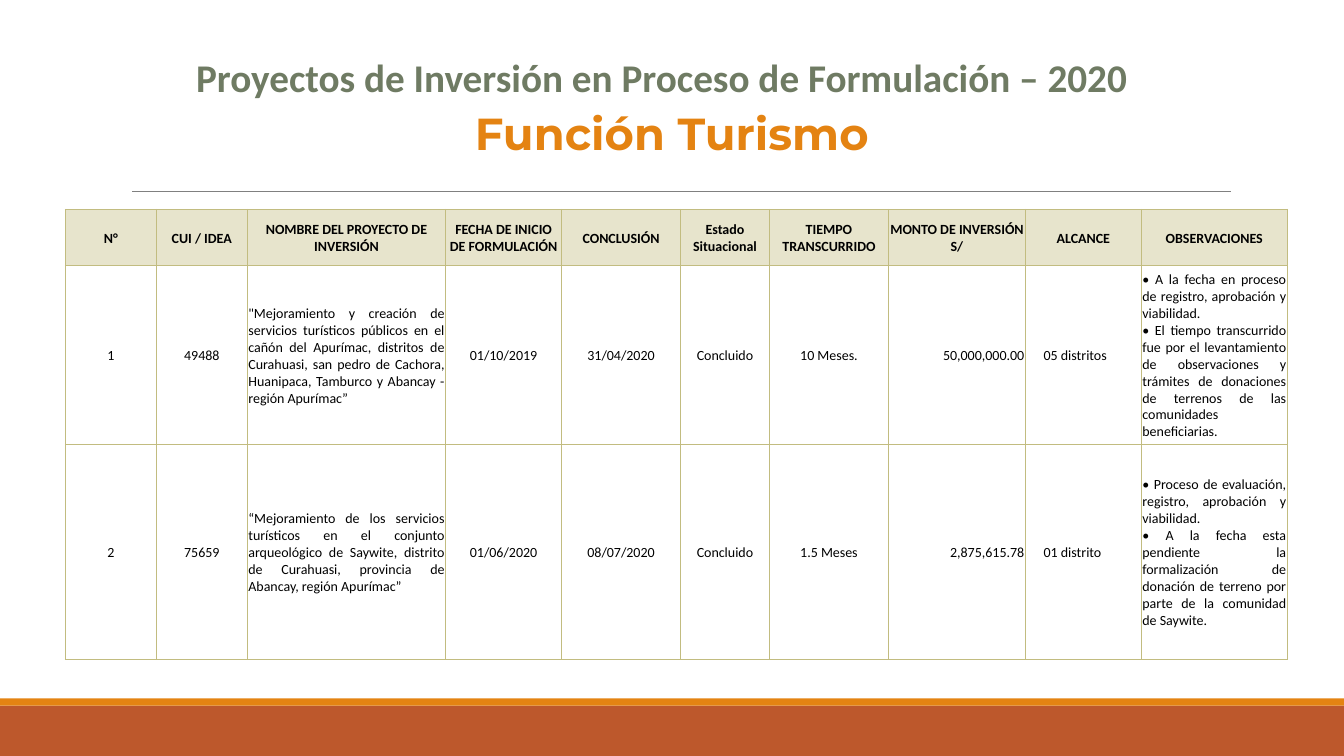
from lxml import etree
from pptx import Presentation
from pptx.dml.color import RGBColor
from pptx.enum import shapes, text
from pptx.oxml import ns
from pptx.util import Cm, Pt

RUST = RGBColor(0xBD, 0x58, 0x2C)
ORANGE = RGBColor(0xE4, 0x83, 0x12)
SAGE = RGBColor(0x6F, 0x7B, 0x63)
GRAY = RGBColor(0x80, 0x80, 0x80)
CREAM = RGBColor(0xE7, 0xE4, 0xCC)
OLIVE = RGBColor(0xC2, 0xBC, 0x80)
BLACK = RGBColor(0, 0, 0)

LEFT, MID, RIGHT, JUST = (text.PP_ALIGN.LEFT, text.PP_ALIGN.CENTER,
                          text.PP_ALIGN.RIGHT, text.PP_ALIGN.JUSTIFY)
WIDE, HIGH = 33.87, 19.05

# Heading, column width in cm, alignment of the body cells
COLS = [
    ("N°", 2.29, MID),
    ("CUI / IDEA", 2.29, MID),
    ("NOMBRE DEL PROYECTO DE INVERSIÓN", 5, JUST),
    ("FECHA DE INICIO DE FORMULACIÓN", 2.92, MID),
    ("CONCLUSIÓN", 3, MID),
    ("Estado Situacional", 2.24, MID),
    ("TIEMPO TRANSCURRIDO", 3, MID),
    ("MONTO DE INVERSIÓN S/", 3.45, RIGHT),
    ("ALCANCE", 2.92, LEFT),
    ("OBSERVACIONES", 3.68, JUST),
]
ROWS = [
    ("1", "49488",
     "\"Mejoramiento y creación de servicios turísticos públicos en el cañón "
     "del Apurímac, distritos de Curahuasi, san pedro de Cachora, Huanipaca, "
     "Tamburco y Abancay - región Apurímac”",
     "01/10/2019", "31/04/2020", "Concluido", "10 Meses.", "50,000,000.00",
     "05 distritos",
     "• A la fecha en proceso de registro, aprobación y viabilidad.\n"
     "• El tiempo transcurrido fue por el levantamiento de observaciones y "
     "trámites de donaciones de terrenos de las comunidades beneficiarias."),
    ("2", "75659",
     "“Mejoramiento de los servicios turísticos en el conjunto arqueológico "
     "de Saywite, distrito de Curahuasi, provincia de Abancay, región "
     "Apurímac”",
     "01/06/2020", "08/07/2020", "Concluido", "1.5 Meses", "2,875,615.78",
     "01 distrito",
     "• Proceso de evaluación, registro, aprobación y viabilidad.\n"
     "• A la fecha esta pendiente la formalización de donación de terreno por "
     "parte de la comunidad de Saywite."),
]
HEIGHTS = [1.42, 4.5, 5.41]


def style(para, face, size, color, bold, align):
    para.alignment = align
    font = para.font
    font.name, font.size, font.bold = face, Pt(size), bold
    font.color.rgb = color


def add_band(slide, x, y, w, h, color):
    band = slide.shapes.add_shape(
        shapes.MSO_SHAPE.RECTANGLE, Cm(x), Cm(y), Cm(w), Cm(h))
    band.shadow.inherit = False
    band.fill.solid()
    band.fill.fore_color.rgb = color
    band.line.fill.background()


def add_foot(slide, x, y, w, h):
    edge = 0.18
    add_band(slide, x, y + edge, w, h - edge, RUST)
    add_band(slide, x, y, w, edge, ORANGE)


def add_rule(slide, x, y, w):
    rule = slide.shapes.add_connector(
        shapes.MSO_CONNECTOR.STRAIGHT, Cm(x), Cm(y), Cm(x + w), Cm(y))
    rule.line.color.rgb = GRAY
    rule.line.width = Pt(0.5)
    etree.SubElement(rule._element.spPr, ns.qn("a:effectLst"))


def set_head(box, words, face, size, color):
    frame = box.text_frame
    frame.text = words
    frame.word_wrap = True
    frame.auto_size = text.MSO_AUTO_SIZE.NONE
    frame.vertical_anchor = text.MSO_ANCHOR.BOTTOM
    frame.margin_left = frame.margin_right = 0
    frame.margin_top = frame.margin_bottom = 0
    style(frame.paragraphs[0], face, size, color, True, MID)


def add_heads(slide, x, y, w):
    """Place the title and, below it, the subtitle."""
    tall = 1.68
    title = slide.shapes.title
    title.left, title.top = Cm(x), Cm(y)
    title.width, title.height = Cm(w), Cm(tall)
    set_head(title, "Proyectos de Inversión en Proceso de Formulación – 2020",
             "Calibri", 28, SAGE)
    sub = slide.shapes.add_textbox(
        Cm(x + 10.69), Cm(y + 1.47), Cm(10.67), Cm(tall))
    set_head(sub, "Función Turismo", "Montserrat", 32, ORANGE)


def set_edges(cell):
    props = cell._tc.get_or_add_tcPr()
    for side in ("lnL", "lnR", "lnT", "lnB"):
        line = etree.SubElement(props, ns.qn("a:" + side), w=str(Pt(1)))
        fill = etree.SubElement(line, ns.qn("a:solidFill"))
        etree.SubElement(fill, ns.qn("a:srgbClr"), val=str(OLIVE))


def set_cell(cell, words, align, head):
    set_edges(cell)
    if head:
        cell.fill.solid()
        cell.fill.fore_color.rgb = CREAM
    else:
        cell.fill.background()
    cell.vertical_anchor = text.MSO_ANCHOR.MIDDLE
    cell.margin_left = Cm(0.46 if align == LEFT else 0.03)
    cell.margin_right = cell.margin_top = Cm(0.03)
    cell.margin_bottom = 0
    cell.text_frame.text = words
    for para in cell.text_frame.paragraphs:
        style(para, "Calibri", 10, BLACK, head, align)


def add_grid(slide, x, y):
    heads, widths, aligns = zip(*COLS)
    grid = slide.shapes.add_table(
        len(HEIGHTS), len(COLS), Cm(x), Cm(y),
        Cm(sum(widths)), Cm(sum(HEIGHTS))).table
    grid.first_row = grid.horz_banding = False
    for col, width in zip(grid.columns, widths):
        col.width = Cm(width)
    for r, (row, height) in enumerate(zip([heads] + ROWS, HEIGHTS)):
        grid.rows[r].height = Cm(height)
        for c, words in enumerate(row):
            head = r == 0
            set_cell(grid.cell(r, c), words, MID if head else aligns[c], head)


def main():
    deck = Presentation()
    deck.slide_width, deck.slide_height = Cm(WIDE), Cm(HIGH)
    slide = deck.slides.add_slide(deck.slide_layouts[5])
    add_foot(slide, 0, 17.6, WIDE, HIGH - 17.6)
    add_rule(slide, 3.33, 4.83, 27.69)
    add_heads(slide, 0.91, 0.86, 31.52)
    add_grid(slide, 1.65, 5.28)
    deck.save("out.pptx")


if __name__ == "__main__":
    main()
